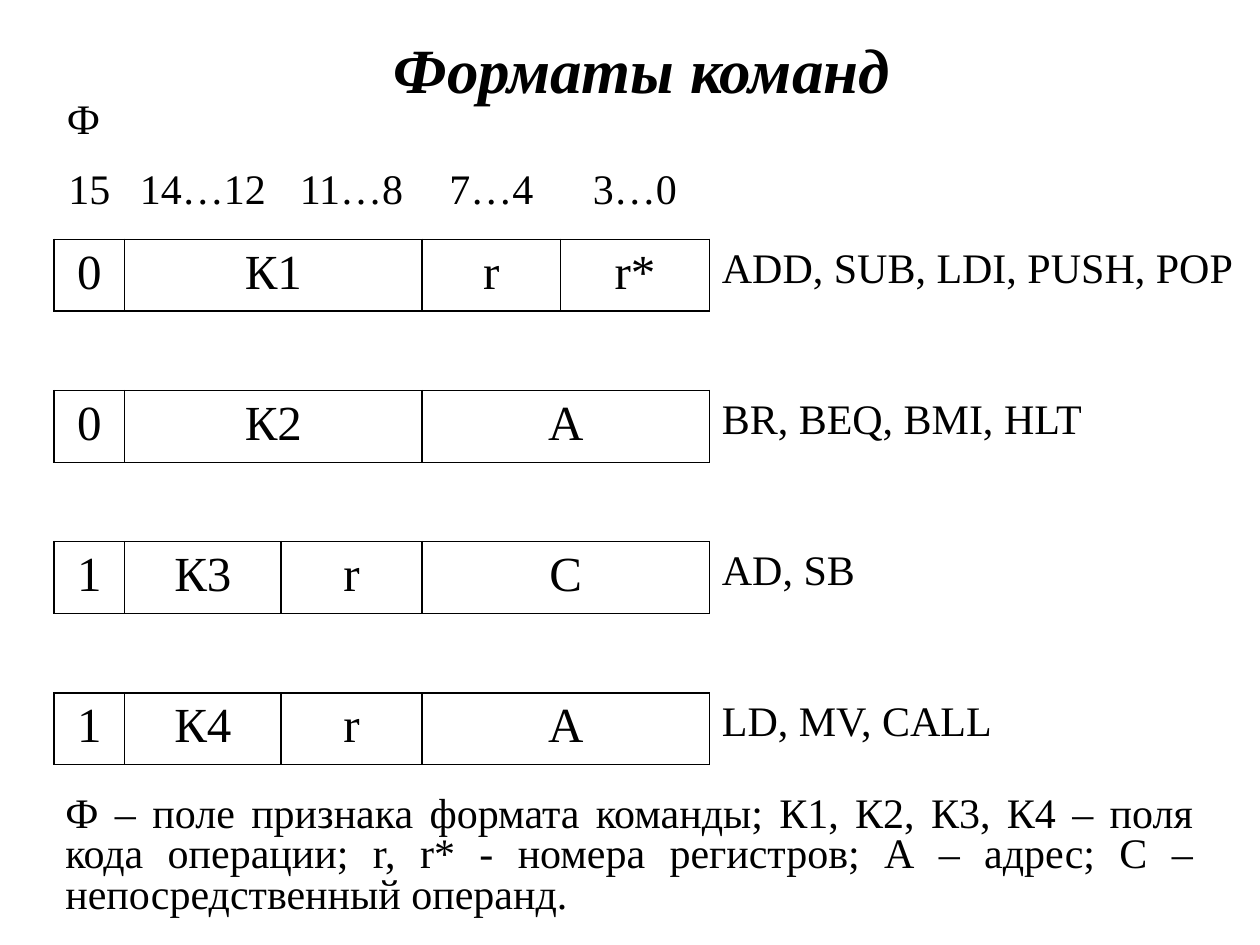
"""Build the slide that shows the four command formats as bit-field rows."""
from lxml.etree import SubElement
from pptx import Presentation
from pptx.dml.color import RGBColor
from pptx.enum.text import MSO_ANCHOR, PP_ALIGN
from pptx.oxml.ns import qn
from pptx.util import Inches, Pt

BLACK = "000000"
NO_GRID_STYLE = "{2D5ABB26-0587-4C30-8999-92F81FD0307C}"


def write(frame, text, size, align, bold=False, italic=False):
    paragraph = frame.paragraphs[0]
    paragraph.alignment = align
    run = paragraph.add_run()
    run.text = text
    run.font.name = "Times New Roman"
    run.font.size = Pt(size)
    run.font.bold = bold
    run.font.italic = italic
    run.font.color.rgb = RGBColor.from_string(BLACK)
    return paragraph


def outline(cell):
    properties = cell._tc.get_or_add_tcPr()
    for side in ("lnL", "lnR", "lnT", "lnB"):
        line = SubElement(properties, qn(f"a:{side}"), w=str(Pt(1)))
        fill = SubElement(line, qn("a:solidFill"))
        SubElement(fill, qn("a:srgbClr"), val=BLACK)


prs = Presentation()
prs.slide_width = Inches(10)
prs.slide_height = Inches(7.5)
slide = prs.slides.add_slide(prs.slide_layouts[5])

column_widths = [0.56, 1.24, 1.12, 1.1, 0.33, 0.85, 4.37]
row_heights = [0.56, 0.62] + [0.57, 0.63] * 3 + [0.57]
formats = table = slide.shapes.add_table(
    len(row_heights), len(column_widths), Inches(0.43), Inches(0.72),
    Inches(sum(column_widths)), Inches(sum(row_heights))).table
formats.first_row = False
formats.horz_banding = False
formats._tbl.tblPr.find(qn("a:tableStyleId")).text = NO_GRID_STYLE
for column, width in zip(formats.columns, column_widths):
    column.width = Inches(width)
for row, height in zip(formats.rows, row_heights):
    row.height = Inches(height)

write(formats.cell(0, 0).text_frame, "Ф", 24, PP_ALIGN.JUSTIFY)

bit_ranges = ["15", "14…12", "11…8", "7…4", "3…0"]
for column, bits in enumerate(bit_ranges):
    write(formats.cell(1, column).text_frame, bits, 24, PP_ALIGN.CENTER)
formats.cell(1, 4).merge(formats.cell(1, 5))

commands = [
    ([("0", 1), ("К1", 2), ("r", 1), ("r*", 2)], "ADD, SUB, LDI, PUSH, POP"),
    ([("0", 1), ("К2", 2), ("A", 3)], "BR, BEQ, BMI, HLT"),
    ([("1", 1), ("К3", 1), ("r", 1), ("C", 3)], "AD, SB"),
    ([("1", 1), ("К4", 1), ("r", 1), ("A", 3)], "LD, MV, CALL"),
]
for index, (fields, mnemonics) in enumerate(commands):
    row = 2 + 2 * index
    start = 0
    for field, span in fields:
        for column in range(start, start + span):
            outline(formats.cell(row, column))
        if span > 1:
            formats.cell(row, start).merge(formats.cell(row, start + span - 1))
        write(formats.cell(row, start).text_frame, field, 28, PP_ALIGN.CENTER)
        start += span
    write(formats.cell(row, 6).text_frame, mnemonics, 24, PP_ALIGN.LEFT)

for cell in formats.iter_cells():
    cell.fill.background()

title = slide.shapes.title
title.left, title.top = Inches(0.35), Inches(0.17)
title.width, title.height = Inches(9.49), Inches(0.75)
title.text_frame.vertical_anchor = MSO_ANCHOR.MIDDLE
write(title.text_frame, "Форматы команд", 36, PP_ALIGN.CENTER, bold=True, italic=True)

legend = slide.shapes.add_textbox(Inches(0.42), Inches(6.27), Inches(9.15), Inches(1.11))
legend.text_frame.word_wrap = True
explanation = write(
    legend.text_frame,
    "Ф – поле признака формата команды; К1, К2, К3, К4 – поля кода операции; "
    "r, r* - номера регистров; А – адрес; С – непосредственный операнд.",
    24, PP_ALIGN.JUSTIFY)
explanation.line_spacing = 0.8

prs.save("out.pptx")
